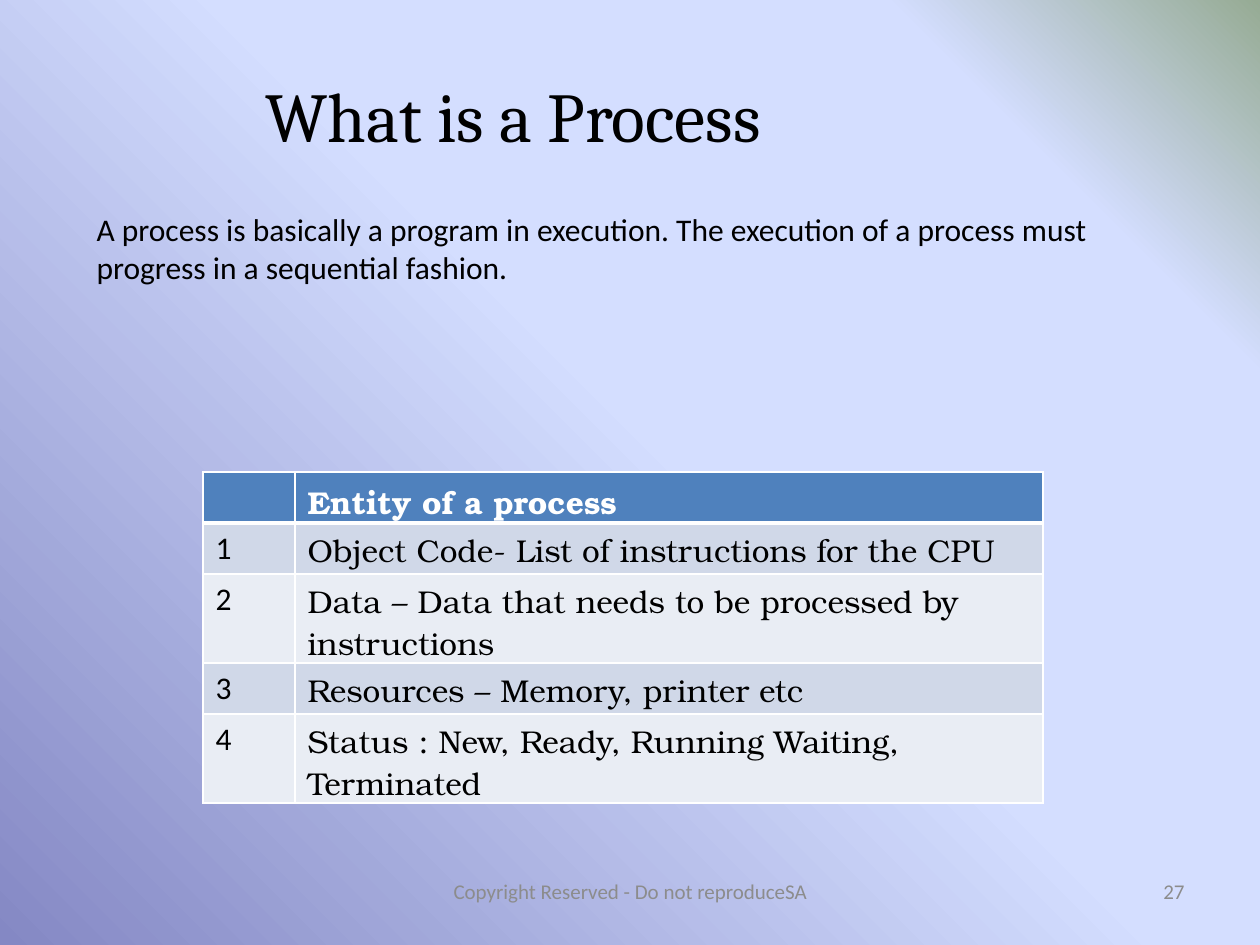
from lxml.etree import SubElement
from pptx import Presentation
from pptx.dml.color import RGBColor
from pptx.enum.text import MSO_ANCHOR, MSO_AUTO_SIZE, PP_ALIGN
from pptx.oxml.ns import qn
from pptx.util import Emu, Pt

PX = 914400 // 126
COLORS = {
    "black": "000000", "white": "FFFFFF", "gray": "8C8C8C",
    "header": "4F81BD", "band_dark": "D0D8E8", "band_light": "E9EDF4",
}
BACKGROUND_STOPS = [(0, "8488C4"), (53, "D4DEFF"), (83, "D4DEFF"), (100, "96AB94")]
BODY = ("A process is basically a program in execution. The execution of a "
        "process must progress in a sequential fashion.")
TABLE_ROWS = [
    ("", "Entity of a process"),
    ("1", "Object Code- List of instructions for the CPU"),
    ("2", "Data – Data that needs to be processed by instructions"),
    ("3", "Resources – Memory, printer etc"),
    ("4", "Status : New, Ready, Running Waiting, Terminated"),
]
COLUMN_WIDTHS = [92, 748]
ROW_HEIGHTS = [51, 51, 89, 51, 89]
COLUMN_FONTS = ["Calibri", "TeX Gyre Bonum"]


def px(*lengths):
    return [Emu(n * PX) for n in lengths]


def rgb(name):
    return RGBColor.from_string(COLORS[name])


def format_text(tf, font, size, color, align=PP_ALIGN.LEFT, bold=False):
    for p in tf.paragraphs:
        p.alignment = align
        p.space_before = Pt(0)
        for r in p.runs:
            r.font.name = font
            r.font.size = Pt(size)
            r.font.bold = bold
            r.font.color.rgb = rgb(color)


def set_background(slide):
    fill = slide.background.fill
    fill.gradient()
    fill.gradient_angle = 45
    stops = slide._element.find(".//" + qn("a:gsLst"))
    for gs in list(stops):
        stops.remove(gs)
    for percent, color in BACKGROUND_STOPS:
        gs = SubElement(stops, qn("a:gs"), pos=str(percent * 1000))
        SubElement(gs, qn("a:srgbClr"), val=color)


def fill_placeholder(sp, text, box, font, size, wrap=True):
    sp.left, sp.top, sp.width, sp.height = px(*box)
    tf = sp.text_frame
    tf.text = text
    tf.word_wrap = wrap
    tf.auto_size = MSO_AUTO_SIZE.NONE
    tf.vertical_anchor = MSO_ANCHOR.TOP
    format_text(tf, font, size, "black")


def remove_bullet(p):
    pPr = p._p.get_or_add_pPr()
    pPr.set("marL", "0")
    pPr.set("indent", "0")
    SubElement(pPr, qn("a:buNone"))


def add_footer(slide, text, box, align):
    tf = slide.shapes.add_textbox(*px(*box)).text_frame
    tf.text = text
    tf.word_wrap = True
    tf.vertical_anchor = MSO_ANCHOR.MIDDLE
    format_text(tf, "Calibri", 12, "gray", align)


def set_borders(cell, bottom_width):
    """Draw white cell borders; they must precede the fill in the XML."""
    tcPr = cell._tc.get_or_add_tcPr()
    for side, width in (("L", 1), ("R", 1), ("T", 1), ("B", bottom_width)):
        ln = SubElement(tcPr, qn("a:ln" + side), w=str(Pt(width)))
        solid = SubElement(ln, qn("a:solidFill"))
        SubElement(solid, qn("a:srgbClr"), val=COLORS["white"])


def add_entity_table(slide):
    box = px(203, 472, sum(COLUMN_WIDTHS), sum(ROW_HEIGHTS))
    table = slide.shapes.add_table(len(TABLE_ROWS), len(COLUMN_WIDTHS), *box).table
    for column, width in zip(table.columns, px(*COLUMN_WIDTHS)):
        column.width = width
    for row, height in zip(table.rows, px(*ROW_HEIGHTS)):
        row.height = height
    for i, texts in enumerate(TABLE_ROWS):
        header = i == 0
        fill = "header" if header else "band_dark" if i % 2 else "band_light"
        for j, text in enumerate(texts):
            cell = table.cell(i, j)
            cell.text = text
            cell.margin_bottom = 0
            set_borders(cell, 3 if header else 1)
            cell.fill.solid()
            cell.fill.fore_color.rgb = rgb(fill)
            format_text(cell.text_frame, COLUMN_FONTS[j], 18,
                        "white" if header else "black", bold=header)


def main():
    prs = Presentation()
    prs.slide_width, prs.slide_height = px(1260, 945)
    slide = prs.slides.add_slide(prs.slide_layouts[1])
    set_background(slide)
    add_footer(slide, "Copyright Reserved - Do not reproduceSA",
               (431, 866, 399, 50), PP_ALIGN.CENTER)
    add_footer(slide, "27", (903, 866, 294, 50), PP_ALIGN.RIGHT)
    fill_placeholder(slide.shapes.title, "What is a Process",
                     (253, 66, 604, 97), "Cambria", 40, wrap=False)
    add_entity_table(slide)
    body = slide.placeholders[1]
    fill_placeholder(body, BODY, (84, 204, 1081, 89), "Calibri", 18)
    remove_bullet(body.text_frame.paragraphs[0])
    prs.save("out.pptx")


if __name__ == "__main__":
    main()
